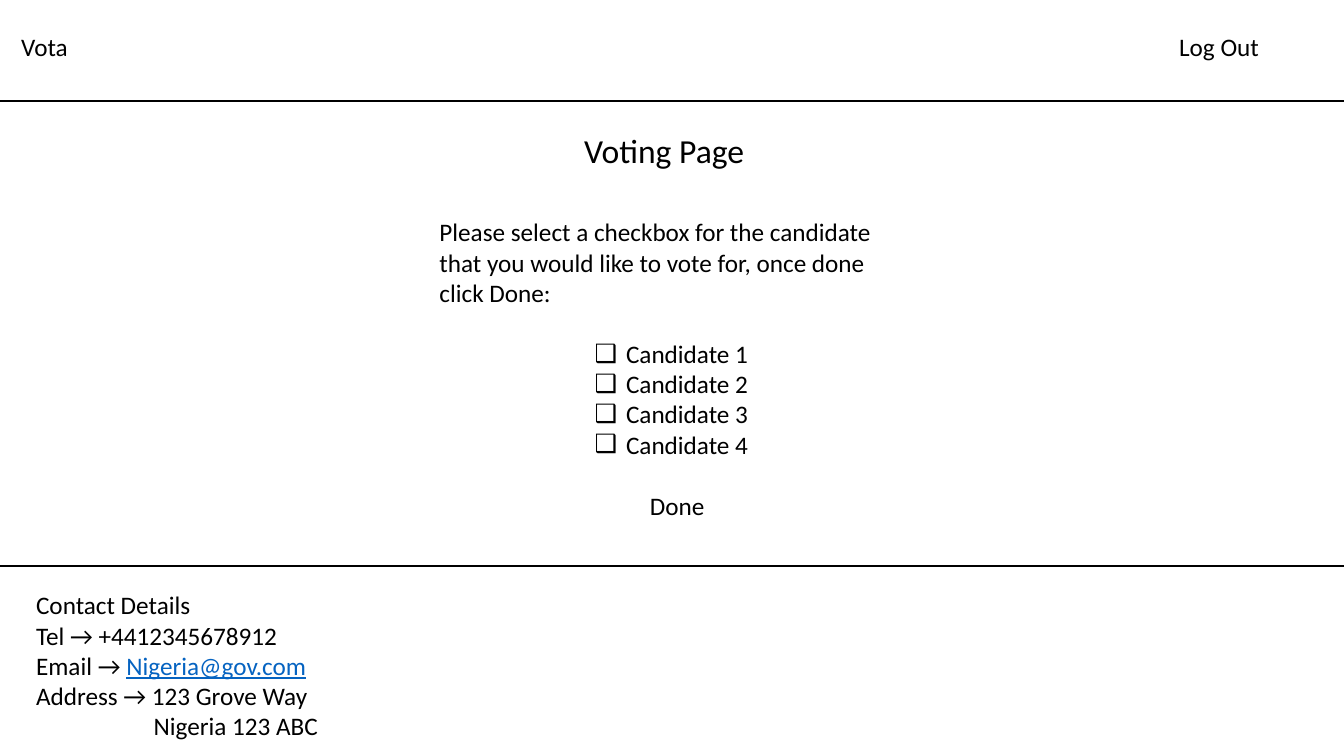
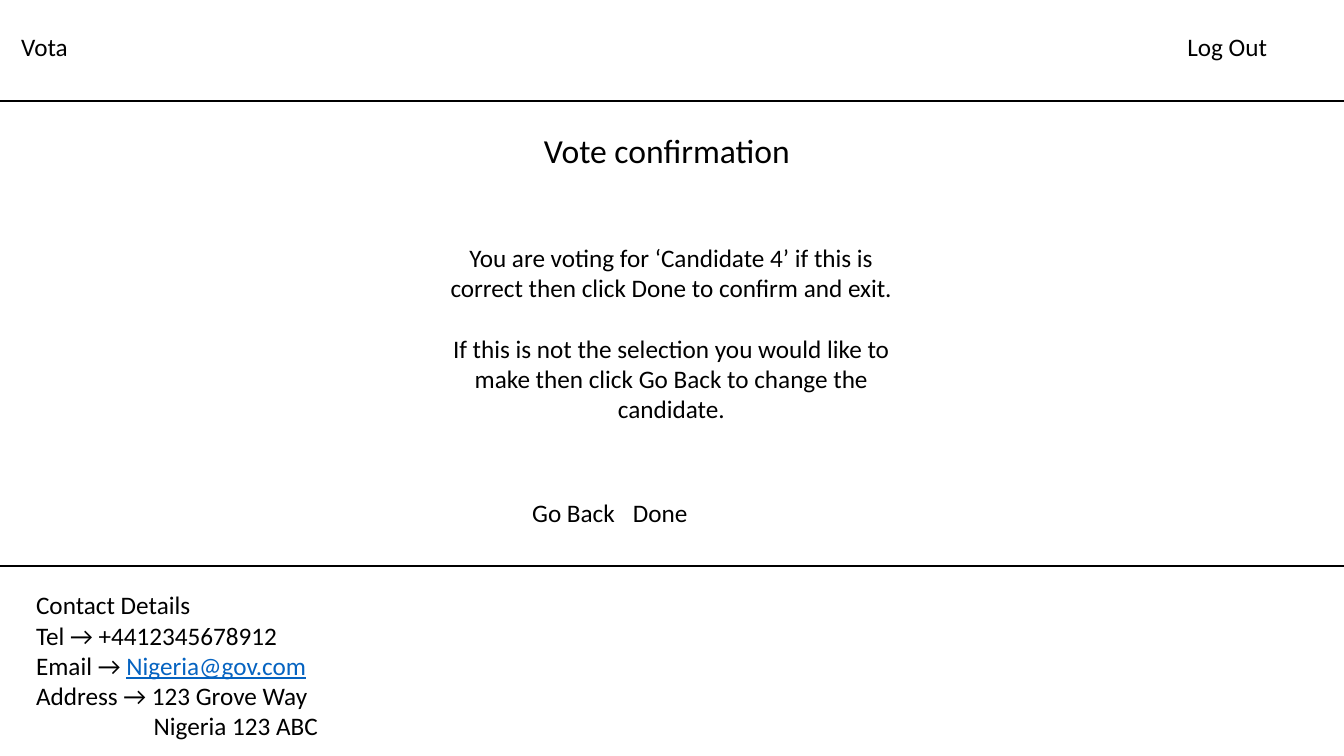
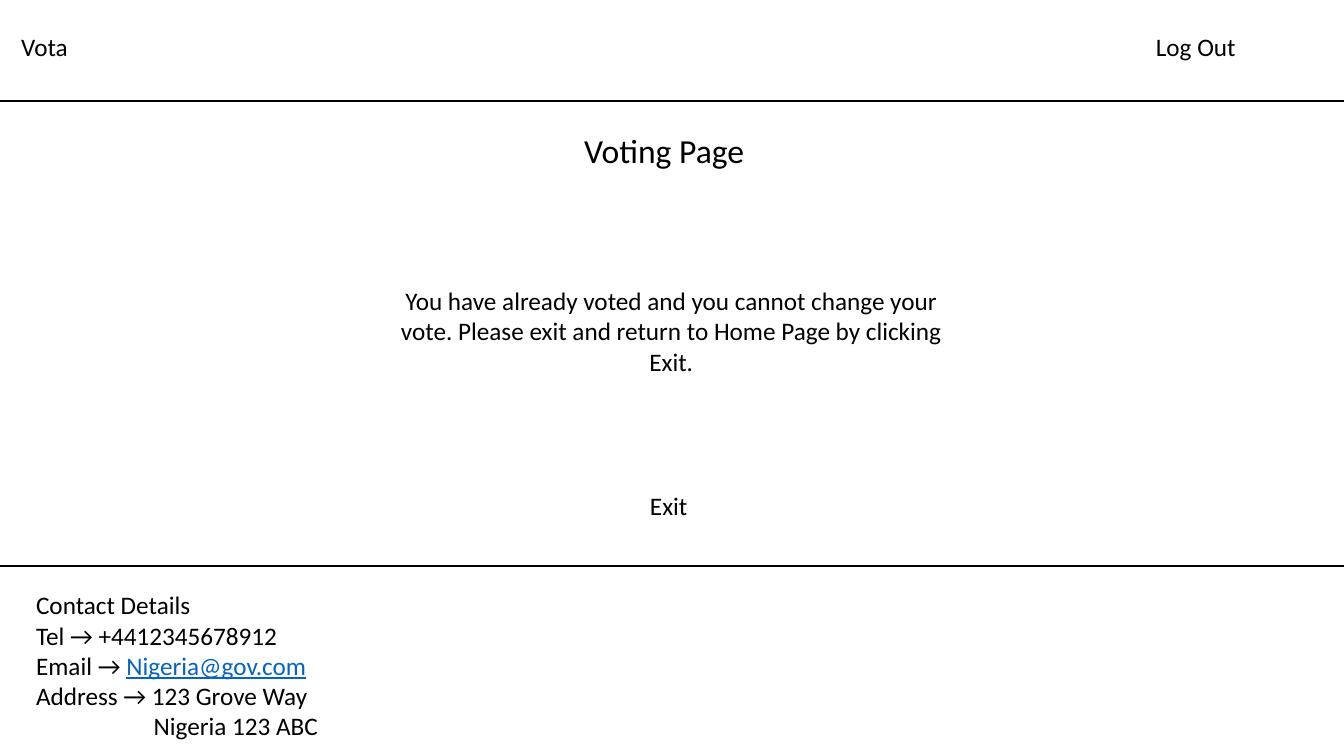
from dataclasses import dataclass
from typing import Optional

from lxml.etree import SubElement
from pptx import Presentation
from pptx.dml.color import RGBColor
from pptx.enum.shapes import MSO_CONNECTOR as Connector
from pptx.enum.text import MSO_ANCHOR as Anchor, MSO_AUTO_SIZE as AutoSize, PP_ALIGN as Align
from pptx.oxml.ns import qn
from pptx.util import Pt

WIDTH, HEIGHT = 960, 540
FONT = "Calibri"
BLACK, LINK_BLUE = "000000", "0563C1"
TEXT_SIZE, TITLE_SIZE = 18, 24
BLANK_LINE = 22
RULE_TOPS = (72, 404.6)
TITLE_TOP, TITLE_HEIGHT = 89.3, 36
MESSAGE_CENTER = 479.5
LABEL_TOP, LABEL_HEIGHT = 18.7, 29


@dataclass(frozen=True)
class Run:
    text: str
    color: str = BLACK
    underline: bool = False
    size: float = TEXT_SIZE


@dataclass(frozen=True)
class Line:
    runs: tuple[Run, ...]
    align: Align = Align.LEFT
    space_before: float = 0
    left: float = 0
    bullet: Optional[str] = None
    tab: Optional[float] = None


@dataclass(frozen=True)
class Box:
    left: float
    top: float
    width: float
    height: float


@dataclass(frozen=True)
class Page:
    title: str
    title_width: float
    message: tuple[Line, ...]
    message_top: float
    message_width: float
    message_height: float
    buttons: Line
    buttons_box: Box
    log_out_left: float


def line(text: str, **options) -> Line:
    return Line((Run(text),), **options)


def centered(text: str, **options) -> Line:
    return line(text, align=Align.CENTER, **options)


CONTACT = (
    line("Contact Details"),
    line("Tel → +4412345678912"),
    Line((Run("Email → "), Run("Nigeria@gov.com", LINK_BLUE, True))),
    line("Address → 123 Grove Way"),
    line("Nigeria 123 ABC", left=84),
)

PAGES = (
    Page(
        "Voting Page", 140,
        (
            line("Please select a checkbox for the candidate that you would like "
                 "to vote for, once done click Done:"),
            *(centered(f"Candidate {number}", left=22.5, bullet="❑",
                       space_before=BLANK_LINE if number == 1 else 0)
              for number in range(1, 5)),
        ),
        151.2, 345.6, 181.4,
        line("Done"), Box(457.2, 347, 57, LABEL_HEIGHT), 835.2,
    ),
    Page(
        "Vote confirmation", 197.3,
        (
            centered("You are voting for ‘Candidate 4’ if this is correct then "
                     "click Done to confirm and exit."),
            centered("If this is not the selection you would like to make then "
                     "click Go Back to change the candidate.",
                     space_before=BLANK_LINE),
        ),
        169.2, 345.6, 138.2,
        line("Go Back\tDone", tab=144), Box(373, 351.4, 214, LABEL_HEIGHT), 841,
    ),
    Page(
        "Voting Page", 140,
        (centered("You have already voted and you cannot change your vote. "
                  "Please exit and return to Home Page by clicking Exit."),),
        200.2, 423.4, 72.7,
        line("Exit"), Box(457.2, 347, 45.4, LABEL_HEIGHT), 818.6,
    ),
)


def rgb(color: str) -> RGBColor:
    return RGBColor.from_string(color)


def format_paragraph(paragraph, content: Line) -> None:
    properties = paragraph._p.get_or_add_pPr()
    properties.set("marL", str(Pt(content.left)))
    properties.set("indent", str(-Pt(content.left) if content.bullet else 0))
    if content.bullet:
        SubElement(properties, qn("a:buChar")).set("char", content.bullet)
    else:
        SubElement(properties, qn("a:buNone"))
    if content.tab:
        stops = SubElement(properties, qn("a:tabLst"))
        stop = SubElement(stops, qn("a:tab"))
        stop.set("pos", str(Pt(content.tab)))
        stop.set("algn", "l")
    paragraph.alignment = content.align
    paragraph.space_before = Pt(content.space_before)


def fill_text(shape, lines: tuple[Line, ...], wrap: bool = True) -> None:
    frame = shape.text_frame
    frame.word_wrap = wrap
    frame.auto_size = AutoSize.SHAPE_TO_FIT_TEXT
    frame.vertical_anchor = Anchor.TOP
    for index, content in enumerate(lines):
        paragraph = frame.add_paragraph() if index else frame.paragraphs[0]
        format_paragraph(paragraph, content)
        for item in content.runs:
            run = paragraph.add_run()
            run.text = item.text
            run.font.name = FONT
            run.font.size = Pt(item.size)
            run.font.color.rgb = rgb(item.color)
            run.font.underline = item.underline


def place(shape, box: Box) -> None:
    shape.left, shape.top = Pt(box.left), Pt(box.top)
    shape.width, shape.height = Pt(box.width), Pt(box.height)


def add_text(slide, box: Box, *lines: Line, wrap: bool = True) -> None:
    shape = slide.shapes.add_textbox(Pt(box.left), Pt(box.top), Pt(box.width), Pt(box.height))
    fill_text(shape, lines, wrap)


def add_rule(slide, top: float) -> None:
    rule = slide.shapes.add_connector(Connector.STRAIGHT, 0, Pt(top), Pt(WIDTH), Pt(top))
    rule.line.color.rgb = rgb(BLACK)
    rule.line.width = Pt(1.5)
    SubElement(rule._element.spPr, qn("a:effectLst"))


def add_frame(slide, log_out_left: float) -> None:
    add_text(slide, Box(8, LABEL_TOP, 417, LABEL_HEIGHT), line("Vota"))
    add_text(slide, Box(log_out_left, LABEL_TOP, 72, LABEL_HEIGHT), line("Log Out"), wrap=False)
    for top in RULE_TOPS:
        add_rule(slide, top)
    add_text(slide, Box(18.7, 417.6, 399, 116.6), *CONTACT)


def add_page(presentation, page: Page) -> None:
    slide = presentation.slides.add_slide(presentation.slide_layouts[1])
    title, body = slide.shapes.title, slide.placeholders[1]
    place(title, Box((WIDTH - page.title_width) / 2, TITLE_TOP, page.title_width, TITLE_HEIGHT))
    fill_text(title, (Line((Run(page.title, size=TITLE_SIZE),)),))
    place(body, Box(MESSAGE_CENTER - page.message_width / 2, page.message_top,
                    page.message_width, page.message_height))
    fill_text(body, page.message)
    add_text(slide, page.buttons_box, page.buttons)
    add_frame(slide, page.log_out_left)


def main() -> None:
    presentation = Presentation()
    presentation.slide_width, presentation.slide_height = Pt(WIDTH), Pt(HEIGHT)
    for page in PAGES:
        add_page(presentation, page)
    presentation.save("out.pptx")


if __name__ == "__main__":
    main()
